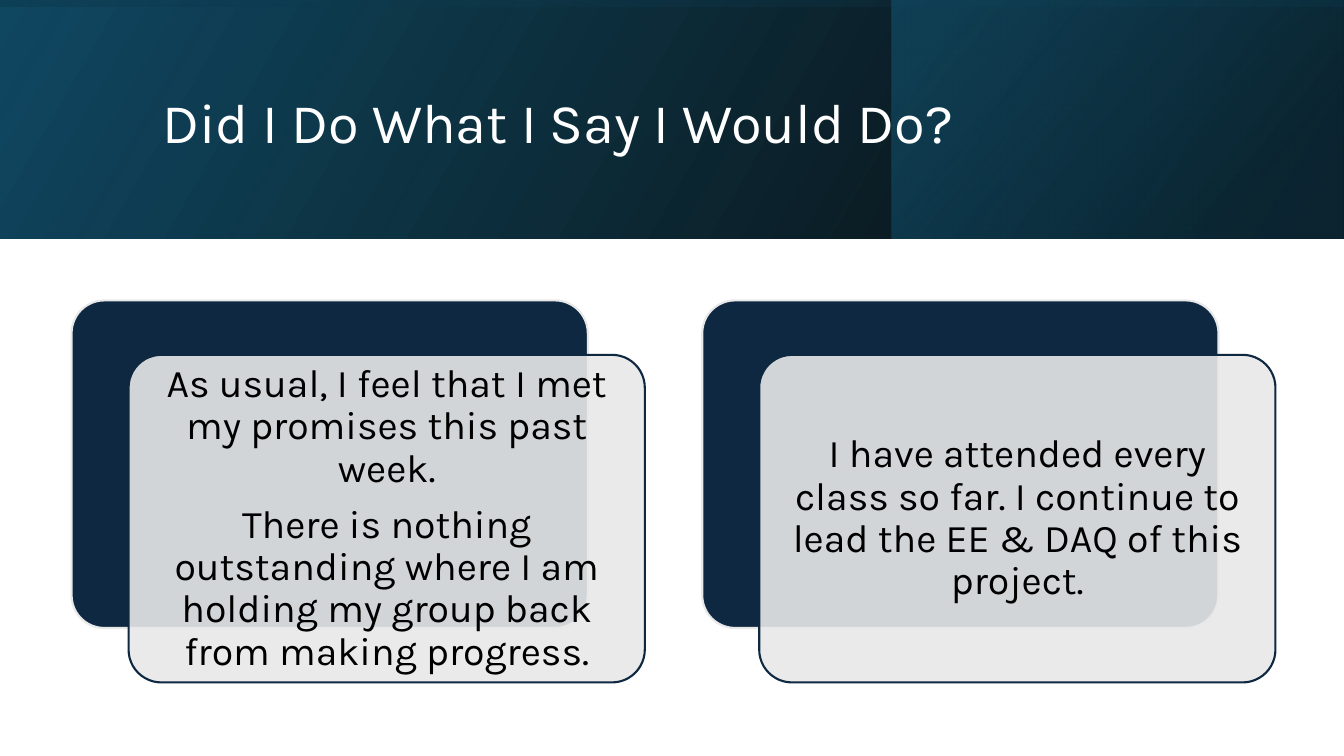
from lxml.etree import SubElement
from pptx import Presentation
from pptx.dml.color import RGBColor
from pptx.enum.shapes import MSO_SHAPE
from pptx.enum.text import MSO_ANCHOR, MSO_AUTO_SIZE, PP_ALIGN
from pptx.oxml.ns import qn
from pptx.util import Inches, Pt

# Content
TITLE = "Did I Do What I Say I Would Do?"
CARDS = [
    ["As usual, I feel that I met my promises this past week.",
     "There is nothing outstanding where I am holding my group back "
     "from making progress."],
    ["I have attended every class so far. I continue to lead the EE & DAQ "
     "of this project."],
]

# Header layers: box, rotation, gradient angle, stops (position, colour, opacity)
BANDS = [
    ((0, 0, 13.33, 2.37), 0, 330, [(0, "000000", 96), (100, "104862", 100)]),
    ((8.84, 0, 4.48, 2.37), 0, 320, [(19, "0B3041", 68), (100, "156082", 48)]),
    ((5.48, -5.48, 2.37, 13.33), 270, 350,
     [(23, "104862", 16), (99, "000000", 45)]),
]

NAVY, GREY, WHITE, BLACK = "0E2841", "E8E8E8", "FFFFFF", "000000"
FONT = "Karla"

# Card geometry
CARD_W, CARD_H = 5.12, 3.25
CARD_LEFT, CARD_TOP, CARD_STEP = 0.71, 2.98, 6.255
FRONT_DX, FRONT_DY = 0.565, 0.54
TEXT_INSET = 0.1


def rgb(value):
    return RGBColor.from_string(value)


def set_alpha(color_element, percent):
    SubElement(color_element, qn("a:alpha"), val=str(percent * 1000))


def add_box(s, kind, box):
    sp = s.shapes.add_shape(kind, *map(Inches, box))
    sp.shadow.inherit = False
    return sp


def add_band(s, box, rotation, angle, stops):
    sp = add_box(s, MSO_SHAPE.RECTANGLE, box)
    sp.rotation = rotation
    sp.line.fill.background()
    sp.fill.gradient()
    xfrm = sp._element.spPr.find(qn("a:xfrm"))
    xfrm.set("flipH", "1")
    grad = sp._element.spPr.find(qn("a:gradFill"))
    for child in list(grad):
        grad.remove(child)
    stop_list = SubElement(grad, qn("a:gsLst"))
    for position, color, opacity in stops:
        stop = SubElement(stop_list, qn("a:gs"), pos=str(position * 1000))
        set_alpha(SubElement(stop, qn("a:srgbClr"), val=color), opacity)
    SubElement(grad, qn("a:lin"), ang=str(angle * 60000), scaled="0")


def add_panel(s, box, fill, line, opacity=100):
    sp = add_box(s, MSO_SHAPE.ROUNDED_RECTANGLE, box)
    sp.adjustments[0] = 0.1
    sp.fill.solid()
    sp.fill.fore_color.rgb = rgb(fill)
    if opacity < 100:
        color = sp._element.spPr.find(qn("a:solidFill")).find(qn("a:srgbClr"))
        set_alpha(color, opacity)
    sp.line.color.rgb = rgb(line)
    sp.line.width = Pt(1.5)


def write(tf, paragraphs, size, color, align, after=0):
    tf.word_wrap = True
    tf.auto_size = MSO_AUTO_SIZE.NONE
    tf.vertical_anchor = MSO_ANCHOR.MIDDLE
    for i, text in enumerate(paragraphs):
        p = tf.paragraphs[0] if i == 0 else tf.add_paragraph()
        p.alignment = align
        p.line_spacing = 0.9
        p.space_after = Pt(after)
        r = p.add_run()
        r.text = text
        r.font.name = FONT
        r.font.size = Pt(size)
        r.font.color.rgb = rgb(color)


def add_card(s, left, paragraphs):
    front_left, front_top = left + FRONT_DX, CARD_TOP + FRONT_DY
    add_panel(s, (left, CARD_TOP, CARD_W, CARD_H), NAVY, GREY)
    add_panel(s, (front_left, front_top, CARD_W, CARD_H), GREY, NAVY, opacity=90)
    box = (front_left + TEXT_INSET, front_top + TEXT_INSET,
           CARD_W - 2 * TEXT_INSET, CARD_H - 2 * TEXT_INSET)
    tf = s.shapes.add_textbox(*map(Inches, box)).text_frame
    tf.margin_left = tf.margin_right = Inches(0.12)
    tf.margin_top = tf.margin_bottom = Inches(0.12)
    write(tf, paragraphs, 28, BLACK, PP_ALIGN.CENTER, after=9.8)


def main():
    prs = Presentation()
    prs.slide_width, prs.slide_height = Inches(13.33), Inches(7.5)
    s = prs.slides.add_slide(prs.slide_layouts[5])

    # Header
    for band in BANDS:
        add_band(s, *band)
    title = s.shapes.title
    title.left, title.top = Inches(1.51), Inches(0.38)
    title.width, title.height = Inches(10.63), Inches(1.72)
    write(title.text_frame, [TITLE], 40, WHITE, PP_ALIGN.LEFT)
    s.shapes._spTree.append(title._element)  # bring in front of the bands

    # Cards
    for i, paragraphs in enumerate(CARDS):
        add_card(s, CARD_LEFT + i * CARD_STEP, paragraphs)

    prs.save("out.pptx")


if __name__ == "__main__":
    main()
